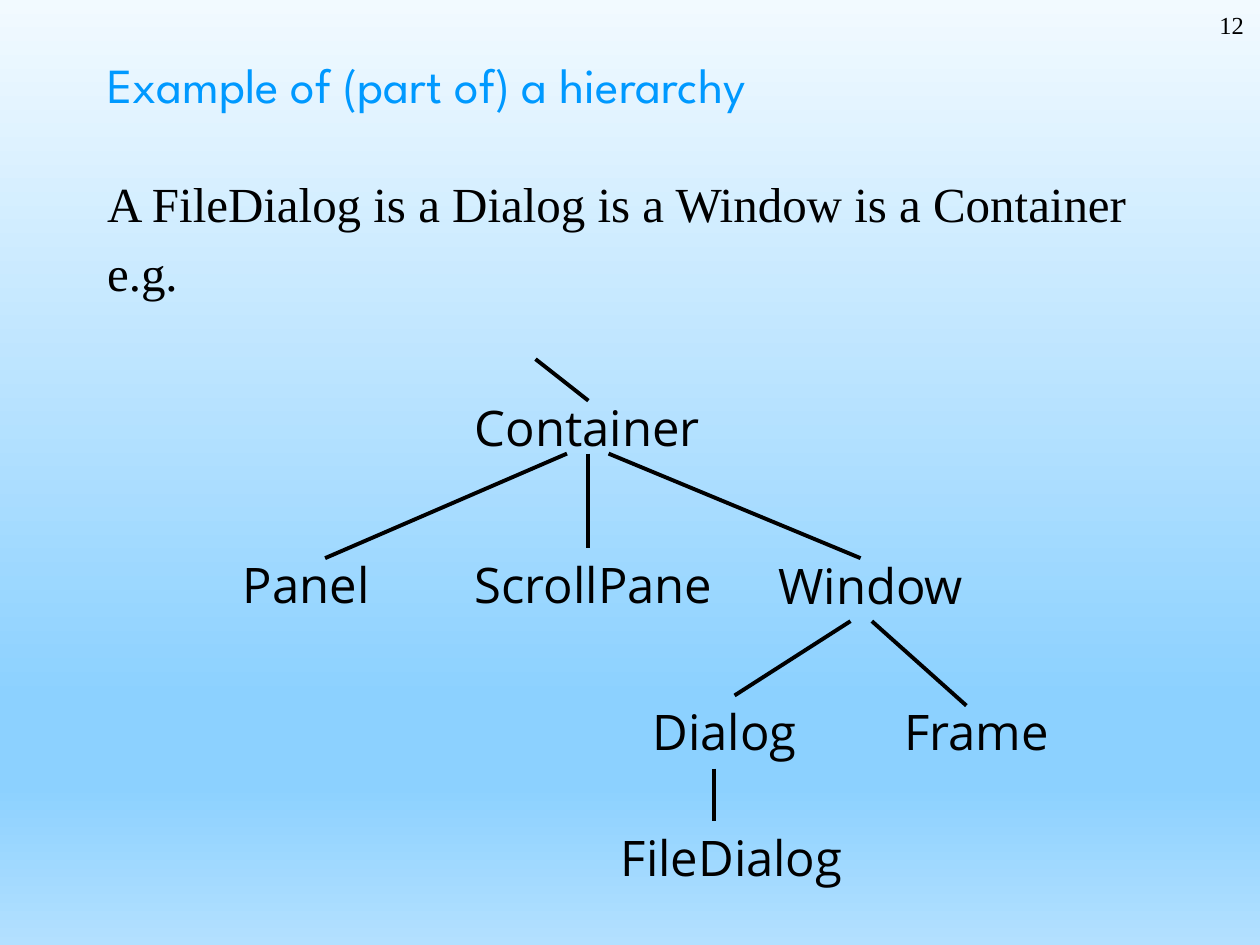
from dataclasses import dataclass

import pptx
import pptx.dml.color
import pptx.enum.shapes
import pptx.enum.text
import pptx.oxml
import pptx.oxml.ns
import pptx.util

Inches, Pt = pptx.util.Inches, pptx.util.Pt
PP_ALIGN = pptx.enum.text.PP_ALIGN
MSO_ANCHOR = pptx.enum.text.MSO_ANCHOR


@dataclass(frozen=True)
class Theme:
    title: str = "0099FF"
    ink: str = "000000"
    sky: tuple = ((0, "F2FAFF"), (74, "8CD1FF"), (83, "8CD1FF"), (100, "B3E0FF"))
    title_font: str = "League Spartan"
    body_font: str = "Times New Roman"
    label_font: str = "Open Sans"
    large: int = 28
    small: int = 14
    branch: float = 2.25


@dataclass(frozen=True)
class ClassLabel:
    name: str
    left: float
    top: float
    width: float


@dataclass(frozen=True)
class Branch:
    x1: float
    y1: float
    x2: float
    y2: float


THEME = Theme()
LABEL_HEIGHT = 0.57

LABELS = [
    ClassLabel("Container", 3.67, 3.1, 3),
    ClassLabel("Panel", 1.83, 4.35, 1.33),
    ClassLabel("ScrollPane", 3.67, 4.35, 2.25),
    ClassLabel("Window", 6.08, 4.36, 1.75),
    ClassLabel("Dialog", 5.08, 5.52, 1.42),
    ClassLabel("Frame", 7.08, 5.52, 1.42),
    ClassLabel("FileDialog", 4.83, 6.52, 2.08),
]

BRANCHES = [
    Branch(4.5, 3.6, 2.58, 4.43),
    Branch(4.67, 3.6, 4.67, 4.35),
    Branch(4.83, 3.6, 6.83, 4.43),
    Branch(6.75, 4.93, 5.83, 5.52),
    Branch(6.92, 4.93, 7.67, 5.6),
    Branch(5.67, 6.1, 5.67, 6.52),
    Branch(4.67, 3.18, 4.25, 2.85),
]


def rgb(value: str):
    return pptx.dml.color.RGBColor.from_string(value)


def place(sp, left: float, top: float, width: float, height: float) -> None:
    sp.left, sp.top = Inches(left), Inches(top)
    sp.width, sp.height = Inches(width), Inches(height)


def write(sp, text: str, font: str, size: int, color: str,
          align=PP_ALIGN.LEFT) -> None:
    tf = sp.text_frame
    tf.text = text
    tf.word_wrap = True
    for p in tf.paragraphs:
        p.alignment = align
        for r in p.runs:
            r.font.name, r.font.size = font, Pt(size)
            r.font.color.rgb = rgb(color)


def paint_background(s) -> None:
    fill = s.background.fill
    fill.gradient()
    grad = s.background._cSld.find(".//" + pptx.oxml.ns.qn("a:gradFill"))
    stops = grad.find(pptx.oxml.ns.qn("a:gsLst"))
    for old in list(stops):
        stops.remove(old)
    for percent, color in THEME.sky:
        stops.append(pptx.oxml.parse_xml(
            f'<a:gs {pptx.oxml.ns.nsdecls("a")} pos="{percent * 1000}">'
            f'<a:srgbClr val="{color}"/></a:gs>'))
    grad.find(pptx.oxml.ns.qn("a:lin")).set("ang", str(90 * 60000))


def remove_bullet(p) -> None:
    pPr = p._p.get_or_add_pPr()
    pPr.set("marL", "0")
    pPr.set("indent", "0")
    pPr.append(pptx.oxml.parse_xml(f'<a:buNone {pptx.oxml.ns.nsdecls("a")}/>'))


def add_label(s, label: ClassLabel) -> None:
    sp = s.shapes.add_textbox(0, 0, 0, 0)
    place(sp, label.left, label.top, label.width, LABEL_HEIGHT)
    write(sp, label.name, THEME.label_font, THEME.large, THEME.ink)
    sp.text_frame.vertical_anchor = MSO_ANCHOR.MIDDLE
    sp.text_frame.word_wrap = True


def add_branch(s, b: Branch) -> None:
    line = s.shapes.add_connector(
        pptx.enum.shapes.MSO_CONNECTOR.STRAIGHT,
        Inches(b.x1), Inches(b.y1), Inches(b.x2), Inches(b.y2))
    line.line.color.rgb = rgb(THEME.ink)
    line.line.width = Pt(THEME.branch)
    line._element.spPr.append(
        pptx.oxml.parse_xml(f'<a:effectLst {pptx.oxml.ns.nsdecls("a")}/>'))


prs = pptx.Presentation()
prs.slide_width, prs.slide_height = Inches(10), Inches(7.5)
s = prs.slides.add_slide(prs.slide_layouts[1])
paint_background(s)

# Title and body text
title, body = s.shapes.title, s.placeholders[1]
place(title, 0.75, 0.08, 8.5, 1.17)
write(title, "Example of (part of) a hierarchy",
      THEME.title_font, THEME.large, THEME.title)
place(body, 0.75, 1.33, 8.5, 5.75)
write(body, "A FileDialog is a Dialog is a Window is a Container\ne.g.",
      THEME.body_font, THEME.large, THEME.ink)
for p in body.text_frame.paragraphs:
    remove_bullet(p)

# Page number
number = s.shapes.add_textbox(0, 0, 0, 0)
place(number, 7.89, 0.03, 2.08, 0.5)
write(number, "12", THEME.body_font, THEME.small, THEME.ink, PP_ALIGN.RIGHT)

# Class hierarchy
for label in LABELS:
    add_label(s, label)
for branch in BRANCHES:
    add_branch(s, branch)

prs.save("out.pptx")
